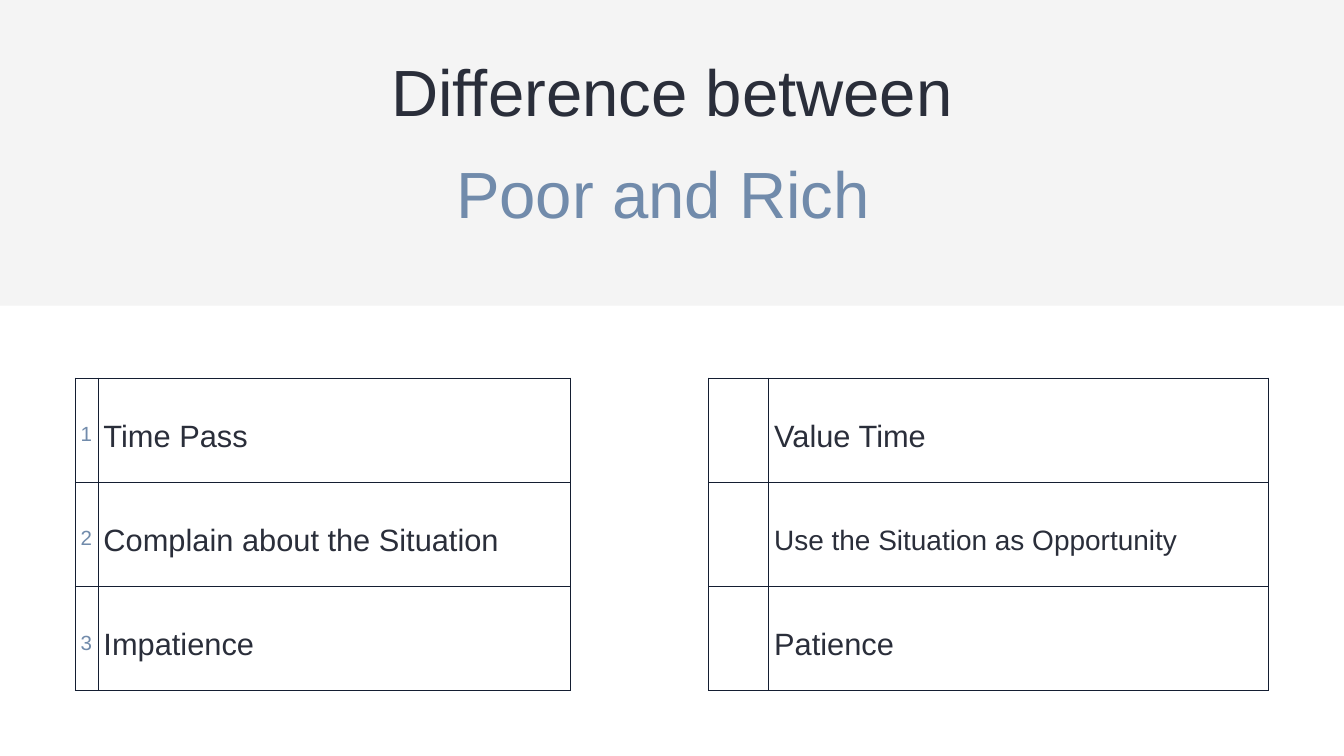
from lxml import etree
from pptx import Presentation
from pptx.dml.color import RGBColor
from pptx.enum.shapes import MSO_SHAPE
from pptx.enum.text import MSO_ANCHOR, PP_ALIGN
from pptx.oxml.ns import qn
from pptx.util import Pt

RECTANGLE = MSO_SHAPE.RECTANGLE
MIDDLE = MSO_ANCHOR.MIDDLE
CENTER = PP_ALIGN.CENTER

# Content
COLORS = {"band": "F4F4F4", "ink": "2A2E3A", "accent": "718BAB", "border": "141E32"}
FONT = "Arial"
# The space after "Rich" shifts the centred line slightly left
TITLE = [("Difference between", "ink"), ("Poor and Rich ", "accent")]
POOR = ["Time Pass", "Complain about the Situation", "Impatience"]
RICH = [("Value Time", 33), ("Use the Situation as Opportunity", 30), ("Patience", 33)]
# Each table: left, column widths, rows of (number, label, label size)
TABLES = [
    (758.88, (64.8, 535.68), [("", label, size) for label, size in RICH]),
    (80.64, (24.48, 505.44), [(str(i), label, 33) for i, label in enumerate(POOR, 1)]),
]

# Layout
SLIDE_WIDTH, SLIDE_HEIGHT = 1440, 810
BAND_HEIGHT = 327.6
TABLE_TOP, ROW_HEIGHT, CELL_INSET = 405, 111.6, 5.76


def style(para, size, color, spacing):
    para.line_spacing = spacing
    for span in para.runs:
        span.font.name = FONT
        span.font.size = Pt(size)
        span.font.color.rgb = RGBColor.from_string(COLORS[color])


def set_borders(cell):
    properties = cell._tc.get_or_add_tcPr()
    for position, side in enumerate(("a:lnL", "a:lnR", "a:lnT", "a:lnB")):
        line = etree.Element(qn(side), w=str(Pt(0.75)))
        fill = etree.SubElement(line, qn("a:solidFill"))
        etree.SubElement(fill, qn("a:srgbClr"), val=COLORS["border"])
        properties.insert(position, line)


def fill_cell(cell, text, size, color):
    cell.fill.background()
    cell.vertical_anchor = MIDDLE
    cell.margin_left = cell.margin_right = Pt(CELL_INSET)
    cell.margin_top = cell.margin_bottom = Pt(CELL_INSET)
    set_borders(cell)
    if text:
        cell.text_frame.text = text
        style(cell.text_frame.paragraphs[0], size, color, 1.4)


def add_comparison(slide, left, widths, rows):
    frame = slide.shapes.add_table(len(rows), len(widths), Pt(left), Pt(TABLE_TOP),
                                   Pt(sum(widths)), Pt(ROW_HEIGHT * len(rows)))
    table = frame.table
    table.first_row = table.horz_banding = False
    for column, width in zip(table.columns, widths):
        column.width = Pt(width)
    for index, (number, label, size) in enumerate(rows):
        table.rows[index].height = Pt(ROW_HEIGHT)
        fill_cell(table.cell(index, 0), number, 22, "accent")
        fill_cell(table.cell(index, 1), label, size, "ink")


def main():
    deck = Presentation()
    deck.slide_width, deck.slide_height = Pt(SLIDE_WIDTH), Pt(SLIDE_HEIGHT)
    slide = deck.slides.add_slide(deck.slide_layouts[6])

    # Comparison tables
    for left, widths, rows in TABLES:
        add_comparison(slide, left, widths, rows)

    # Title band
    band = slide.shapes.add_shape(RECTANGLE, 0, 0, Pt(SLIDE_WIDTH), Pt(BAND_HEIGHT))
    band.shadow.inherit = False
    band.fill.solid()
    band.fill.fore_color.rgb = RGBColor.from_string(COLORS["band"])
    band.line.fill.background()

    # Title
    box = slide.shapes.add_textbox(Pt(169.2), Pt(29.52), Pt(1101.6), Pt(180.72))
    frame = box.text_frame
    frame.word_wrap = True
    frame.margin_left = frame.margin_right = frame.margin_top = frame.margin_bottom = 0
    frame.text = "\n".join(text for text, _ in TITLE)
    for para, (_, color) in zip(frame.paragraphs, TITLE):
        para.alignment = CENTER
        style(para, 70, color, 1.3)

    deck.save("out.pptx")


if __name__ == "__main__":
    main()
